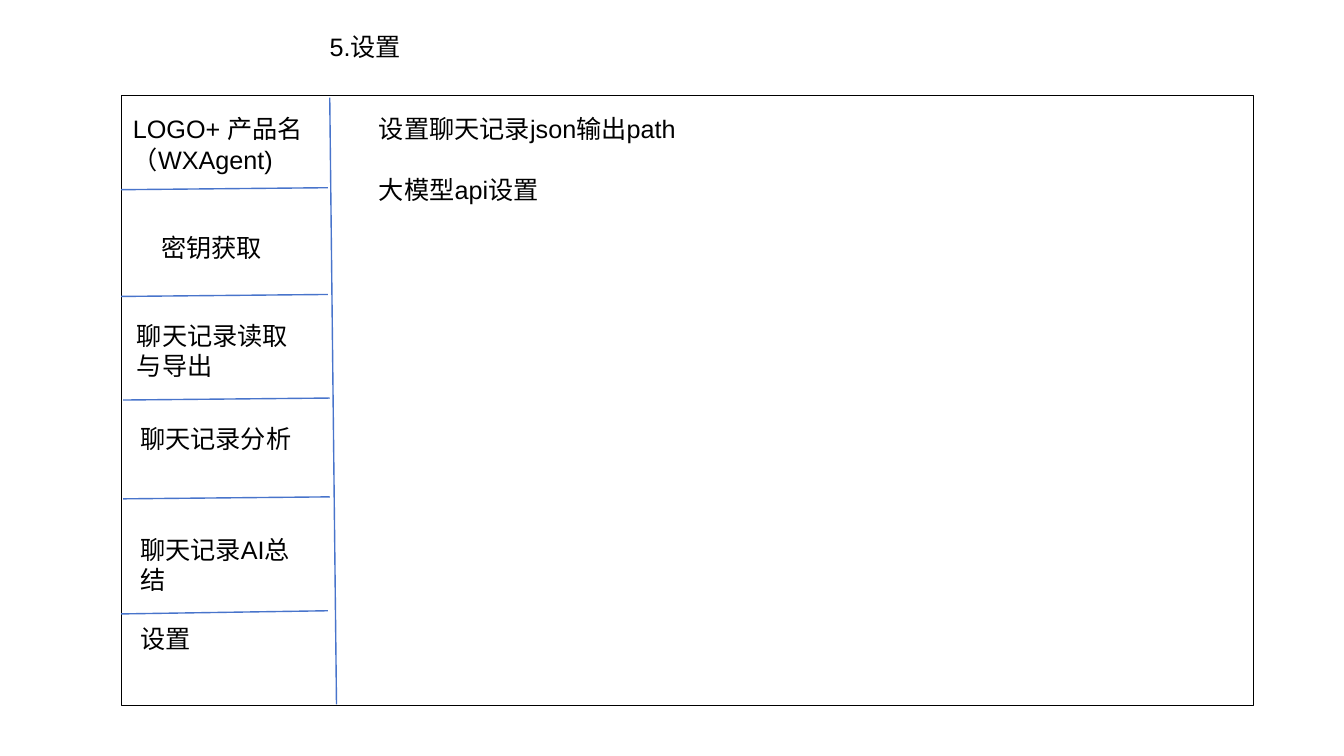
from dataclasses import dataclass

import pptx
import pptx.dml.color
import pptx.enum.shapes
import pptx.enum.text
import pptx.oxml
import pptx.oxml.ns
import pptx.util
from pptx.util import Cm

BLACK = "000000"
BLUE = "4874CB"
MENU_WIDTH = 5.21


@dataclass
class Label:
    """A block of text with its place in centimetres."""
    text: str
    left: float
    top: float
    width: float
    height: float


@dataclass
class Rule:
    """A menu separator that rises slightly to the right."""
    left: float
    top: float
    rise: float = 0.05


HEADING = Label("5.设置", 8.05, 0.66, 14.43, 1.02)
MENU = [
    Label("LOGO+ 产品名（WXAgent)", 3.1, 2.74, 7.49, 1.8),
    Label("密钥获取", 3.81, 5.74, 3.28, 1.02),
    Label("聊天记录读取与导出", 3.2, 7.95, 4.55, 1.8),
    Label("聊天记录分析", 3.28, 10.54, 4.55, 1.02),
    Label("聊天记录AI总结", 3.28, 13.34, 4.55, 1.8),
    Label("设置", 3.28, 15.57, 4.55, 1.02),
]
OPTIONS = Label("设置聊天记录json输出path\n大模型api设置", 9.3, 2.74, 21.44, 5.64)
RULES = [
    Rule(3.05, 4.78),
    Rule(3.05, 7.47),
    Rule(3.1, 10.08),
    Rule(3.1, 12.57),
    Rule(3.05, 15.47, 0.08),
]


def colour(value: str) -> pptx.dml.color.RGBColor:
    """Turn a hex string into a colour."""
    return pptx.dml.color.RGBColor.from_string(value)


def fill_text(shape, label: Label) -> None:
    """Place a text shape, write its words and format them."""
    shape.left, shape.top = Cm(label.left), Cm(label.top)
    shape.width, shape.height = Cm(label.width), Cm(label.height)
    frame = shape.text_frame
    frame.text = label.text
    frame.word_wrap = True
    frame.auto_size = pptx.enum.text.MSO_AUTO_SIZE.SHAPE_TO_FIT_TEXT
    frame.vertical_anchor = pptx.enum.text.MSO_ANCHOR.TOP
    for position, paragraph in enumerate(frame.paragraphs):
        paragraph.alignment = pptx.enum.text.PP_ALIGN.LEFT
        paragraph.space_before = pptx.util.Pt(21.5 if position else 0)
        for run in paragraph.runs:
            run.font.name = "Arial"
            run.font.size = pptx.util.Pt(18)
            run.font.color.rgb = colour(BLACK)


def add_label(slide, label: Label) -> None:
    """Add a text box for a label."""
    box = slide.shapes.add_textbox(
        Cm(label.left), Cm(label.top), Cm(label.width), Cm(label.height))
    fill_text(box, label)


def add_line(slide, x1: float, y1: float, x2: float, y2: float) -> None:
    """Draw a thin blue line without a shadow."""
    line = slide.shapes.add_connector(
        pptx.enum.shapes.MSO_CONNECTOR.STRAIGHT, Cm(x1), Cm(y1), Cm(x2), Cm(y2))
    line.line.color.rgb = colour(BLUE)
    line.line.width = pptx.util.Pt(1)
    effects = pptx.oxml.parse_xml(
        f"<a:effectLst {pptx.oxml.ns.nsdecls('a')}/>")
    line._element.spPr.append(effects)


def add_window(slide) -> None:
    """Draw the outline of the application window."""
    window = slide.shapes.add_shape(
        pptx.enum.shapes.MSO_SHAPE.RECTANGLE,
        Cm(3.07), Cm(2.41), Cm(28.52), Cm(15.37))
    window.shadow.inherit = False
    window.fill.background()
    window.line.color.rgb = colour(BLACK)
    window.line.width = pptx.util.Pt(1)


def main() -> None:
    """Build the settings page mock-up."""
    deck = pptx.Presentation()
    deck.slide_width, deck.slide_height = Cm(33.87), Cm(19.05)
    slide = deck.slides.add_slide(deck.slide_layouts[5])
    fill_text(slide.shapes.title, HEADING)
    add_window(slide)
    add_line(slide, 8.31, 2.46, 8.48, 17.75)
    for rule in RULES:
        add_line(slide, rule.left, rule.top,
                 rule.left + MENU_WIDTH, rule.top - rule.rise)
    for label in [*MENU, OPTIONS]:
        add_label(slide, label)
    deck.save("out.pptx")


if __name__ == "__main__":
    main()
